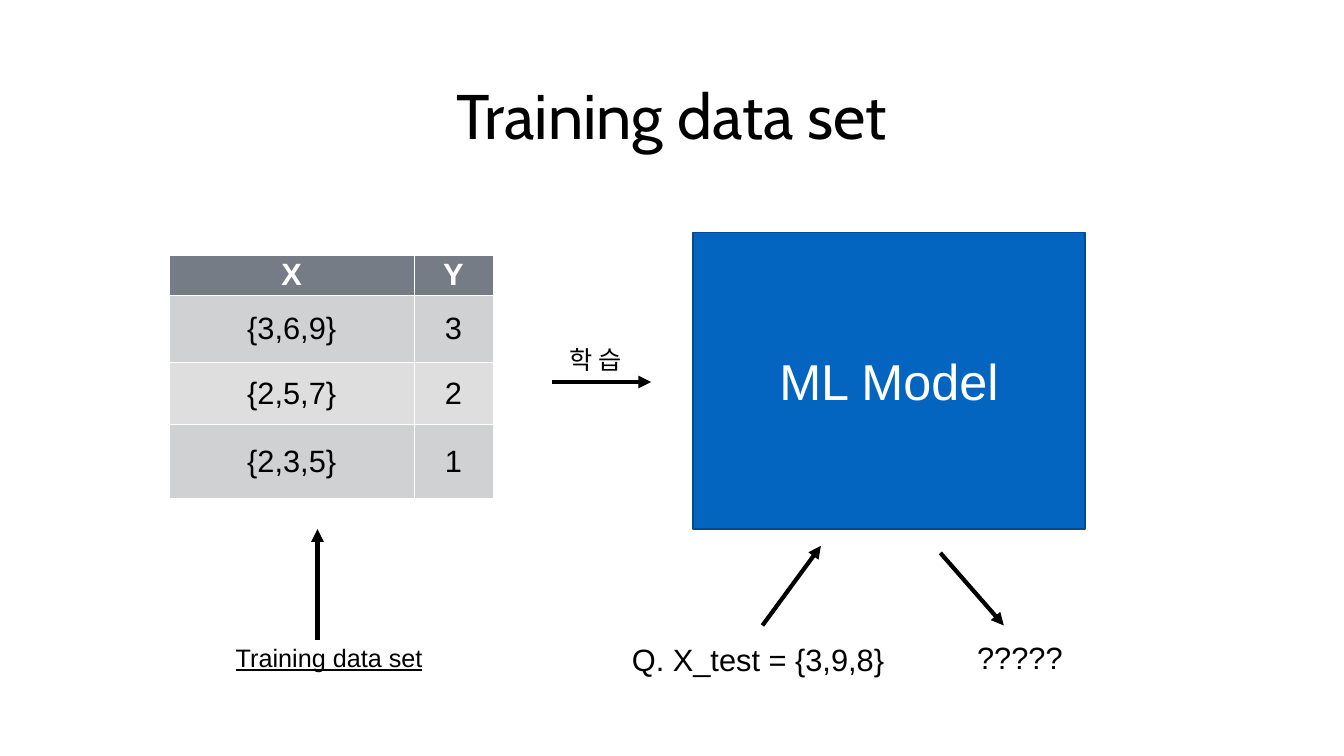
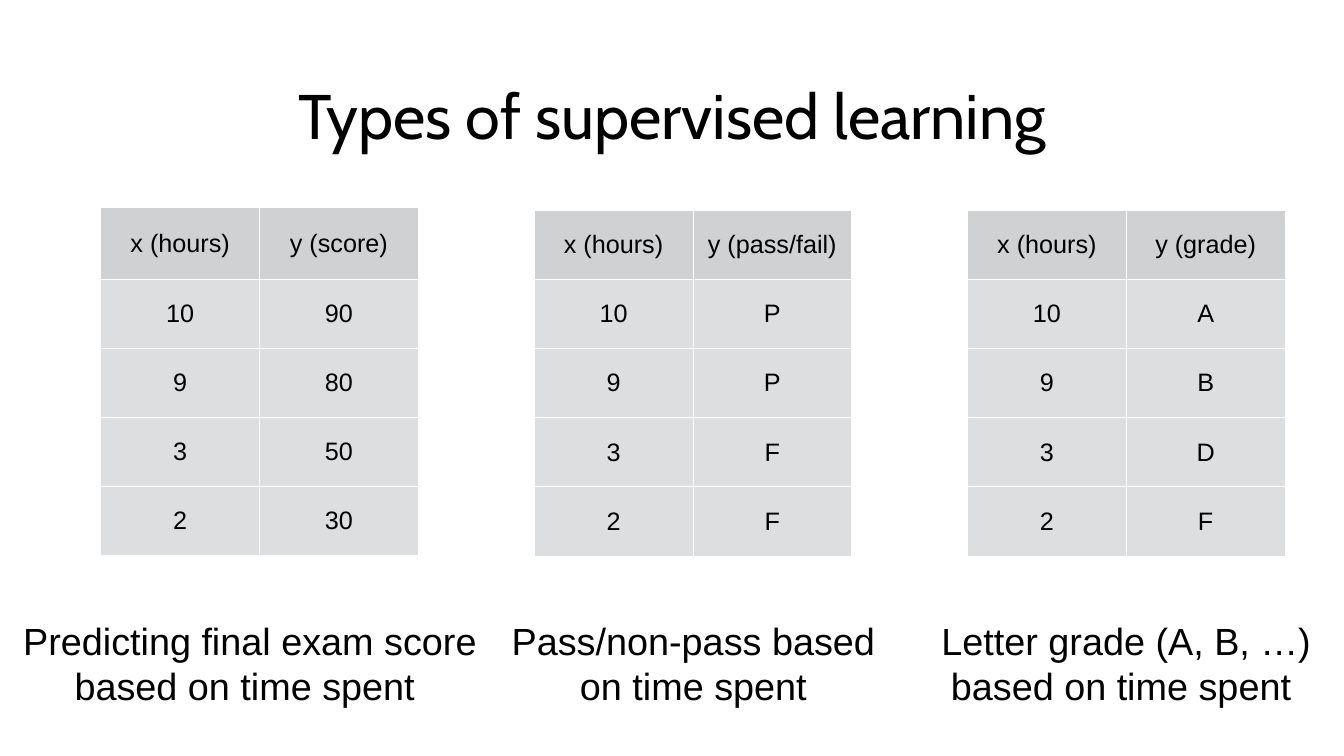
"""Build two slides on training data and the types of supervised learning."""
from dataclasses import dataclass

from lxml.etree import SubElement
from pptx import Presentation
from pptx.dml.color import RGBColor
from pptx.enum.shapes import MSO_CONNECTOR as Connector, MSO_SHAPE as Preset
from pptx.enum.text import MSO_ANCHOR as Anchor, MSO_AUTO_SIZE as AutoSize, PP_ALIGN as Align
from pptx.oxml import parse_xml
from pptx.oxml.ns import nsdecls, qn
from pptx.slide import Slide
from pptx.text.text import TextFrame
from pptx.util import Emu, Pt

PX = 9144
SLIDE_WIDTH, SLIDE_HEIGHT = 2667, 1500
BODY_FONT, TITLE_FONT = "Arial", "Cabin"
COLORS = {
    "ink": "000000",
    "white": "FFFFFF",
    "model": "0365C0",
    "model_edge": "024B8E",
    "header": "767C85",
    "band_dark": "D0D1D2",
    "band_light": "DEDEDF",
    "row": "DCDEE0",
}


@dataclass(frozen=True)
class Box:
    left: int
    top: int
    width: int
    height: int

    def emu(self) -> tuple[Emu, Emu, Emu, Emu]:
        return px(self.left), px(self.top), px(self.width), px(self.height)


@dataclass(frozen=True)
class TextStyle:
    size: int
    font: str = BODY_FONT
    color: str = "ink"
    bold: bool = False
    underline: bool = False
    align: Align = Align.CENTER


@dataclass(frozen=True)
class Label:
    text: str
    box: Box
    style: TextStyle
    wrap: bool = False
    anchor: Anchor = Anchor.TOP


@dataclass(frozen=True)
class Arrow:
    start: tuple[int, int]
    end: tuple[int, int]


@dataclass(frozen=True)
class Grid:
    left: int
    top: int
    columns: list[int]
    rows: list[int]
    cells: list[tuple[str, str]]
    fills: list[str]
    header: TextStyle
    body: TextStyle
    header_anchor: Anchor = Anchor.MIDDLE
    inset: int | None = None


@dataclass(frozen=True)
class Task:
    target: str
    values: list[str]
    caption: str
    caption_box: Box
    top: int
    header_height: int


TITLE_BOX = Box(-2, 39, 2671, 375)
TITLE_STYLE = TextStyle(90, TITLE_FONT)
NOTE = TextStyle(36, align=Align.LEFT)
NOTE_UNDERLINED = TextStyle(36, underline=True, align=Align.LEFT)
QUERY = TextStyle(44, align=Align.LEFT)
CAPTION = TextStyle(54)
CELL = TextStyle(36)

TRAINING_GRID = Grid(
    336, 507, [486, 156], [76, 134, 123, 147],
    [("X", "Y"), ("{3,6,9}", "3"), ("{2,5,7}", "2"), ("{2,3,5}", "1")],
    ["header", "band_dark", "band_light", "band_dark"],
    TextStyle(44, color="white", bold=True), TextStyle(44), Anchor.TOP,
)
TRAINING_LABELS = [
    Label("학 습", Box(1121, 679, 135, 71), NOTE),
    Label("Q. X_test = {3,9,8}", Box(1244, 1267, 527, 84), QUERY),
    Label("?????", Box(1929, 1262, 192, 84), QUERY),
    Label("Training data set", Box(458, 1269, 396, 71), NOTE_UNDERLINED),
]
TRAINING_ARROWS = [
    Arrow((1096, 758), (1292, 758)),
    Arrow((1513, 1241), (1629, 1083)),
    Arrow((1866, 1097), (1992, 1241)),
    Arrow((630, 1269), (630, 1050)),
]

HOURS = ["10", "9", "3", "2"]
TASK_LEFT, TASK_PITCH = 200, 860
COLUMN_WIDTH, ROW_HEIGHT = 315, 137
TASKS = [
    Task("y (score)", ["90", "80", "50", "30"],
         "Predicting final exam score based on time spent ",
         Box(0, 1219, 992, 192), 412, 142),
    Task("y (pass/fail)", ["P", "P", "F", "F"],
         "Pass/non-pass based on time spent",
         Box(991, 1219, 770, 192), 418, ROW_HEIGHT),
    Task("y (grade)", ["A", "B", "D", "F"],
         "Letter grade (A, B, …) based on time spent ",
         Box(1850, 1219, 770, 192), 418, ROW_HEIGHT),
]


def px(length: int) -> Emu:
    return Emu(length * PX)


def rgb(name: str) -> RGBColor:
    return RGBColor.from_string(COLORS[name])


def write(frame: TextFrame, text: str, style: TextStyle) -> None:
    paragraph = frame.paragraphs[0]
    paragraph.alignment = style.align
    run = paragraph.add_run()
    run.text = text
    run.font.name = style.font
    run.font.size = Pt(style.size)
    run.font.bold = style.bold
    run.font.underline = style.underline
    run.font.color.rgb = rgb(style.color)


def add_titled_slide(presentation: Presentation, title: str) -> Slide:
    slide = presentation.slides.add_slide(presentation.slide_layouts[5])
    shape = slide.shapes.title
    shape.left, shape.top, shape.width, shape.height = TITLE_BOX.emu()
    frame = shape.text_frame
    frame.auto_size = AutoSize.NONE
    frame.word_wrap = True
    frame.vertical_anchor = Anchor.MIDDLE
    frame.margin_left = frame.margin_right = px(8)
    frame.margin_top = frame.margin_bottom = px(8)
    write(frame, title, TITLE_STYLE)
    return slide


def add_label(slide: Slide, label: Label) -> None:
    frame = slide.shapes.add_textbox(*label.box.emu()).text_frame
    frame.word_wrap = label.wrap
    frame.auto_size = AutoSize.SHAPE_TO_FIT_TEXT
    frame.vertical_anchor = label.anchor
    write(frame, label.text, label.style)


def add_arrow(slide: Slide, arrow: Arrow) -> None:
    points = [px(value) for value in arrow.start + arrow.end]
    connector = slide.shapes.add_connector(Connector.STRAIGHT, *points)
    connector.line.color.rgb = rgb("ink")
    connector.line.width = Pt(6)
    line = connector.line._get_or_add_ln()
    SubElement(line, qn("a:tailEnd"), type="triangle")
    SubElement(connector._element.spPr, qn("a:effectLst"))


def add_model(slide: Slide) -> None:
    shape = slide.shapes.add_shape(Preset.RECTANGLE, *Box(1375, 461, 778, 589).emu())
    shape.shadow.inherit = False
    shape.fill.solid()
    shape.fill.fore_color.rgb = rgb("model")
    shape.line.color.rgb = rgb("model_edge")
    shape.line.width = Pt(2)
    shape.text_frame.vertical_anchor = Anchor.MIDDLE
    write(shape.text_frame, "ML Model", TextStyle(72, color="white"))


def add_grid(slide: Slide, grid: Grid) -> None:
    box = Box(grid.left, grid.top, sum(grid.columns), sum(grid.rows))
    frame = slide.shapes.add_table(len(grid.rows), len(grid.columns), *box.emu())
    table = frame.table
    table.first_row = table.horz_banding = False
    for column, width in zip(table.columns, grid.columns):
        column.width = px(width)
    for index, (row, height) in enumerate(zip(table.rows, grid.rows)):
        row.height = px(height)
        for cell, text in zip(row.cells, grid.cells[index]):
            cell.fill.solid()
            cell.fill.fore_color.rgb = rgb(grid.fills[index])
            cell.vertical_anchor = Anchor.MIDDLE if index else grid.header_anchor
            if grid.inset is not None:
                cell.margin_left = cell.margin_right = px(grid.inset)
                cell.margin_top = cell.margin_bottom = px(grid.inset)
            write(cell.text_frame, text, grid.body if index else grid.header)
            properties = cell._tc.get_or_add_tcPr()
            for position, side in enumerate("LRTB"):
                properties.insert(position, parse_xml(
                    f'<a:ln{side} {nsdecls("a")} w="{Pt(1)}"><a:solidFill>'
                    f'<a:srgbClr val="{COLORS["white"]}"/></a:solidFill></a:ln{side}>'
                ))


def build_training_slide(presentation: Presentation) -> None:
    slide = add_titled_slide(presentation, "Training data set")
    add_model(slide)
    add_grid(slide, TRAINING_GRID)
    for arrow in TRAINING_ARROWS:
        add_arrow(slide, arrow)
    for label in TRAINING_LABELS:
        add_label(slide, label)


def build_types_slide(presentation: Presentation) -> None:
    slide = add_titled_slide(presentation, "Types of supervised learning")
    for index, task in enumerate(TASKS):
        add_grid(slide, Grid(
            TASK_LEFT + index * TASK_PITCH, task.top, [COLUMN_WIDTH] * 2,
            [task.header_height] + [ROW_HEIGHT] * len(HOURS),
            [("x (hours)", task.target), *zip(HOURS, task.values)],
            ["band_dark"] + ["row"] * len(HOURS), CELL, CELL, inset=6,
        ))
        add_label(slide, Label(task.caption, task.caption_box, CAPTION, True, Anchor.MIDDLE))


def main() -> None:
    presentation = Presentation()
    presentation.slide_width = px(SLIDE_WIDTH)
    presentation.slide_height = px(SLIDE_HEIGHT)
    build_training_slide(presentation)
    build_types_slide(presentation)
    presentation.save("out.pptx")


if __name__ == "__main__":
    main()
